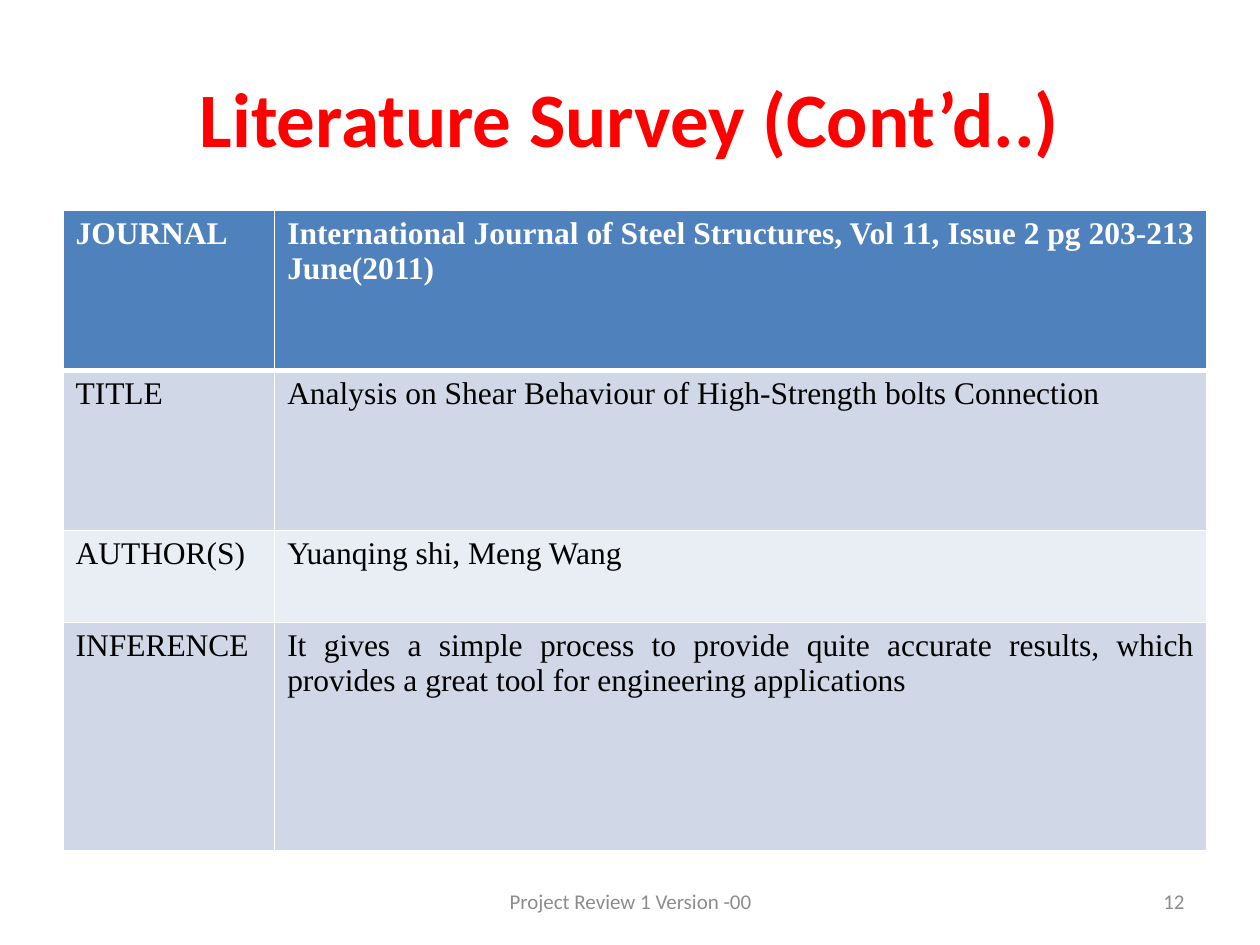
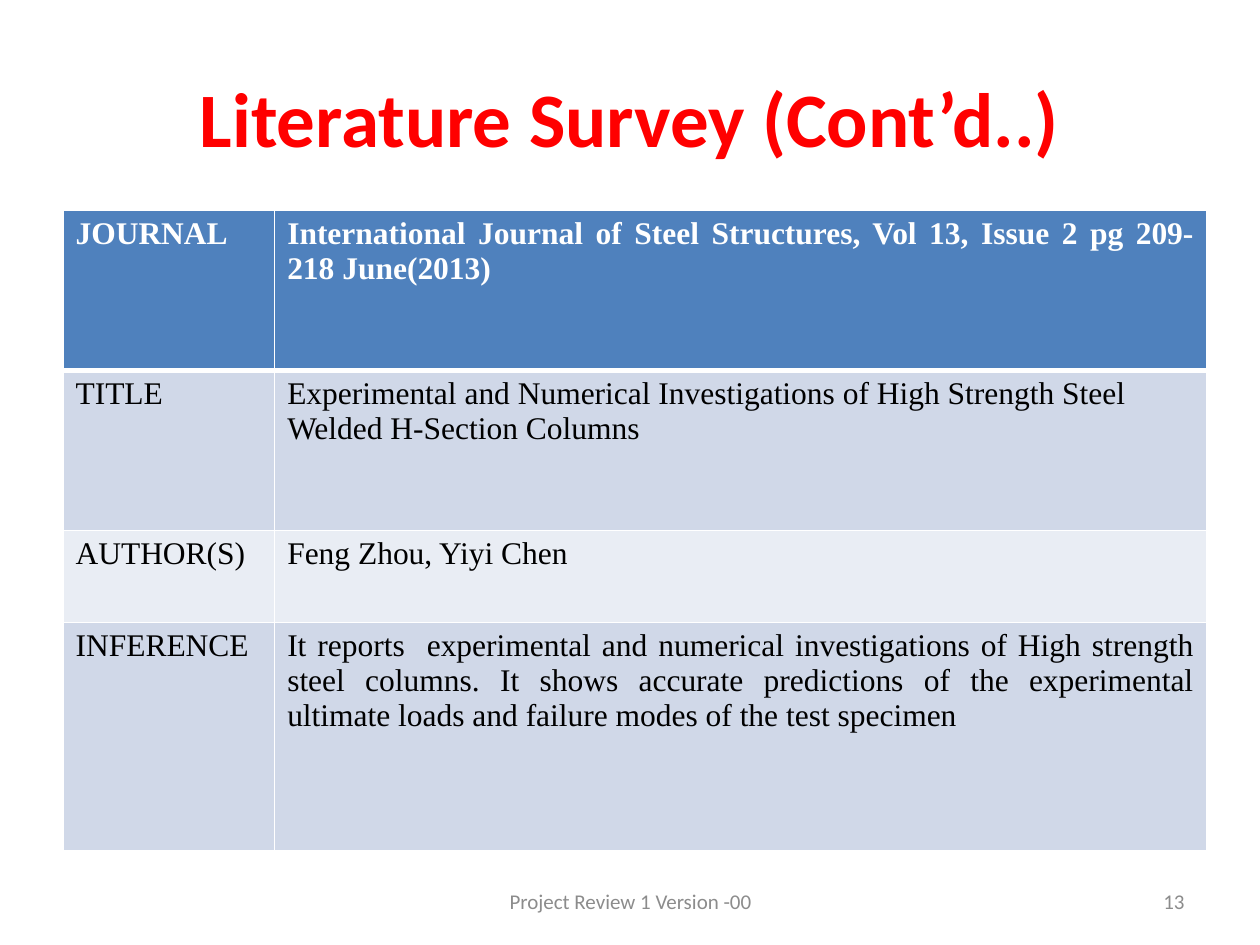
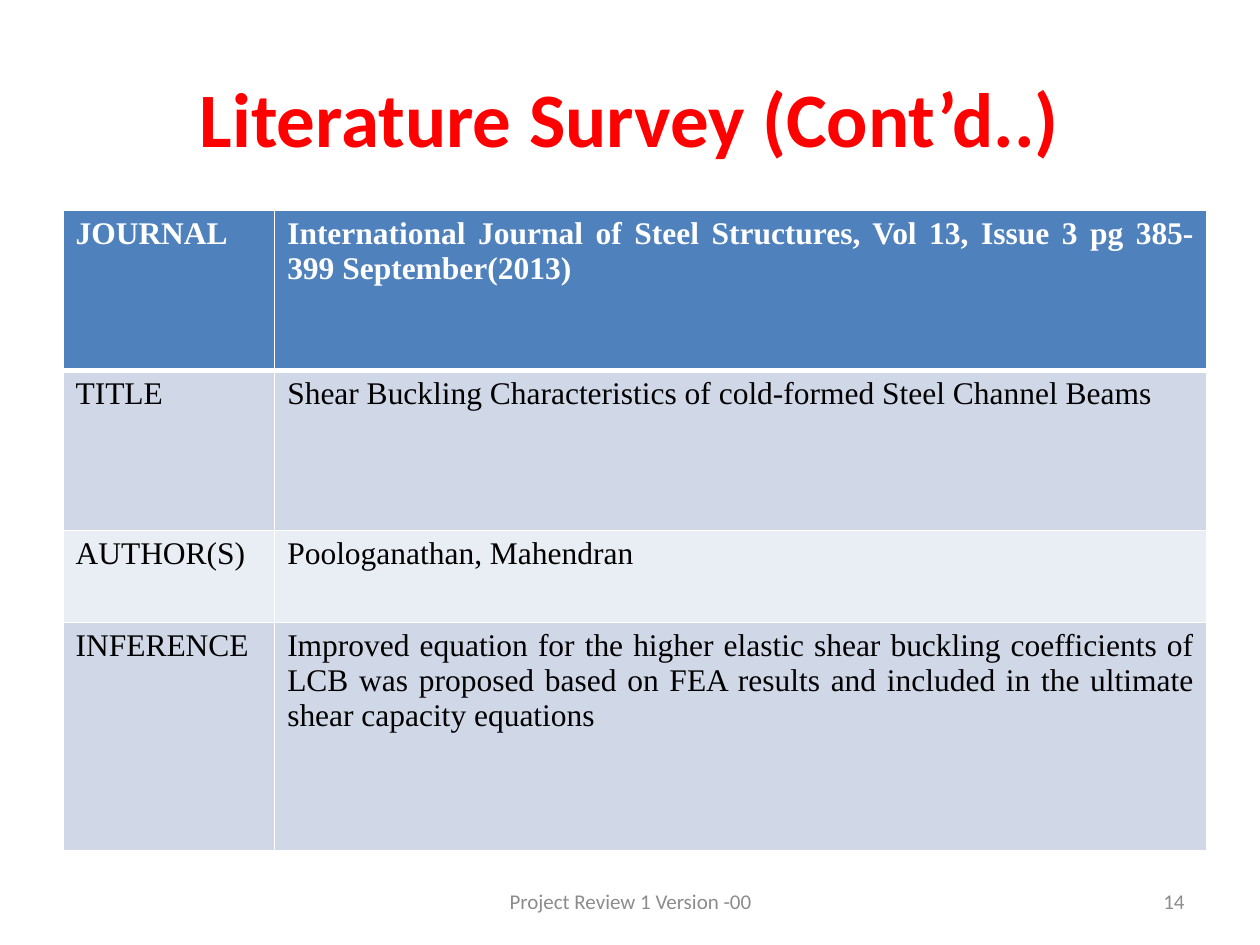
import pptx
import pptx.dml.color
import pptx.enum.text
import pptx.oxml
import pptx.oxml.ns
import pptx.util

Inches = pptx.util.Inches
ALIGN = pptx.enum.text.PP_ALIGN
ANCHOR = pptx.enum.text.MSO_ANCHOR

# Content
TITLE = "Literature Survey (Cont’d..)"
FOOTER = "Project Review 1 Version -00"
FIRST_NUMBER = 12
LABELS = ["JOURNAL", "TITLE", "AUTHOR(S)", "INFERENCE"]
PAPERS = [
    ["International Journal of Steel Structures, Vol 11, Issue 2 pg 203-213 June(2011)",
     "Analysis on Shear Behaviour of High-Strength bolts Connection",
     "Yuanqing shi, Meng Wang",
     "It gives a simple process to provide quite accurate results, which provides "
     "a great tool for engineering applications"],
    ["International Journal of Steel Structures, Vol 13, Issue 2 pg 209-218 June(2013)",
     "Experimental and Numerical Investigations of High Strength Steel "
     "Welded H-Section Columns",
     "Feng Zhou, Yiyi Chen",
     "It reports  experimental and numerical investigations of High strength steel "
     "columns. It shows accurate predictions of the experimental ultimate loads and "
     "failure modes of the test specimen"],
    ["International Journal of Steel Structures, Vol 13, Issue 3 pg 385-399 September(2013)",
     "Shear Buckling Characteristics of cold-formed Steel Channel Beams",
     "Poologanathan, Mahendran",
     "Improved equation for the higher elastic shear buckling coefficients of LCB was "
     "proposed based on FEA results and included in the ultimate shear capacity equations"],
]

# Shared look
WHITE, BLACK, RED, GREY = "FFFFFF", "000000", "FF0000", "8C8C8C"
ROW_FILLS = ["4F81BD", "D0D8E8", "E9EDF4", "D0D8E8"]
JUSTIFIED = {"JOURNAL", "INFERENCE"}
COLUMNS = [1.68, 7.4]
ROWS = [1.27, 1.27, 0.73, 1.81]
TABLE_LEFT, TABLE_TOP = 0.5, 1.67
THIN, THICK = 1, 3


def rgb(color):
    return pptx.dml.color.RGBColor.from_string(color)


def write(frame, text, size, font, color, bold=False, align=None):
    para = frame.paragraphs[0]
    para.alignment = align
    span = para.add_run()
    span.text = text
    span.font.size = pptx.util.Pt(size)
    span.font.name = font
    span.font.bold = bold
    span.font.color.rgb = rgb(color)


def add_text(page, place, text, size, color, align, bold=False):
    box = page.shapes.add_textbox(*map(Inches, place))
    box.text_frame.word_wrap = True
    box.text_frame.vertical_anchor = ANCHOR.MIDDLE
    write(box.text_frame, text, size, "Calibri", color, bold, align)


def set_borders(cell, top, bottom):
    widths = {"lnL": THIN, "lnR": THIN, "lnT": top, "lnB": bottom}
    properties = cell._tc.get_or_add_tcPr()
    # Border lines come before the fill
    for position, (side, width) in enumerate(widths.items()):
        properties.insert(position, pptx.oxml.parse_xml(
            f'<a:{side} {pptx.oxml.ns.nsdecls("a")} w="{pptx.util.Pt(width)}">'
            f'<a:solidFill><a:srgbClr val="{WHITE}"/></a:solidFill></a:{side}>'))


def add_paper_table(page, paper):
    place = (TABLE_LEFT, TABLE_TOP, sum(COLUMNS), sum(ROWS))
    table = page.shapes.add_table(len(ROWS), len(COLUMNS), *map(Inches, place)).table
    for column, width in zip(table.columns, COLUMNS):
        column.width = Inches(width)
    for index, (label, entry) in enumerate(zip(LABELS, paper)):
        table.rows[index].height = Inches(ROWS[index])
        header = index == 0
        entry_align = ALIGN.JUSTIFY if label in JUSTIFIED else None
        for column, (text, align) in enumerate([(label, None), (entry, entry_align)]):
            cell = table.cell(index, column)
            cell.fill.solid()
            cell.fill.fore_color.rgb = rgb(ROW_FILLS[index])
            set_borders(cell, THICK if index == 1 else THIN, THICK if header else THIN)
            write(cell.text_frame, text, 18, "Times New Roman",
                  WHITE if header else BLACK, header, align)


def main():
    deck = pptx.Presentation()
    deck.slide_width, deck.slide_height = Inches(10), Inches(7.5)
    for number, paper in enumerate(PAPERS, FIRST_NUMBER):
        page = deck.slides.add_slide(deck.slide_layouts[6])
        add_text(page, (0.5, 0.3, 9, 1.25), TITLE, 44, RED, ALIGN.CENTER, bold=True)
        add_paper_table(page, paper)
        add_text(page, (7.17, 6.95, 2.33, 0.4), str(number), 12, GREY, ALIGN.RIGHT)
        add_text(page, (3.42, 6.95, 3.17, 0.4), FOOTER, 12, GREY, ALIGN.CENTER)
    deck.save("out.pptx")


if __name__ == "__main__":
    main()
